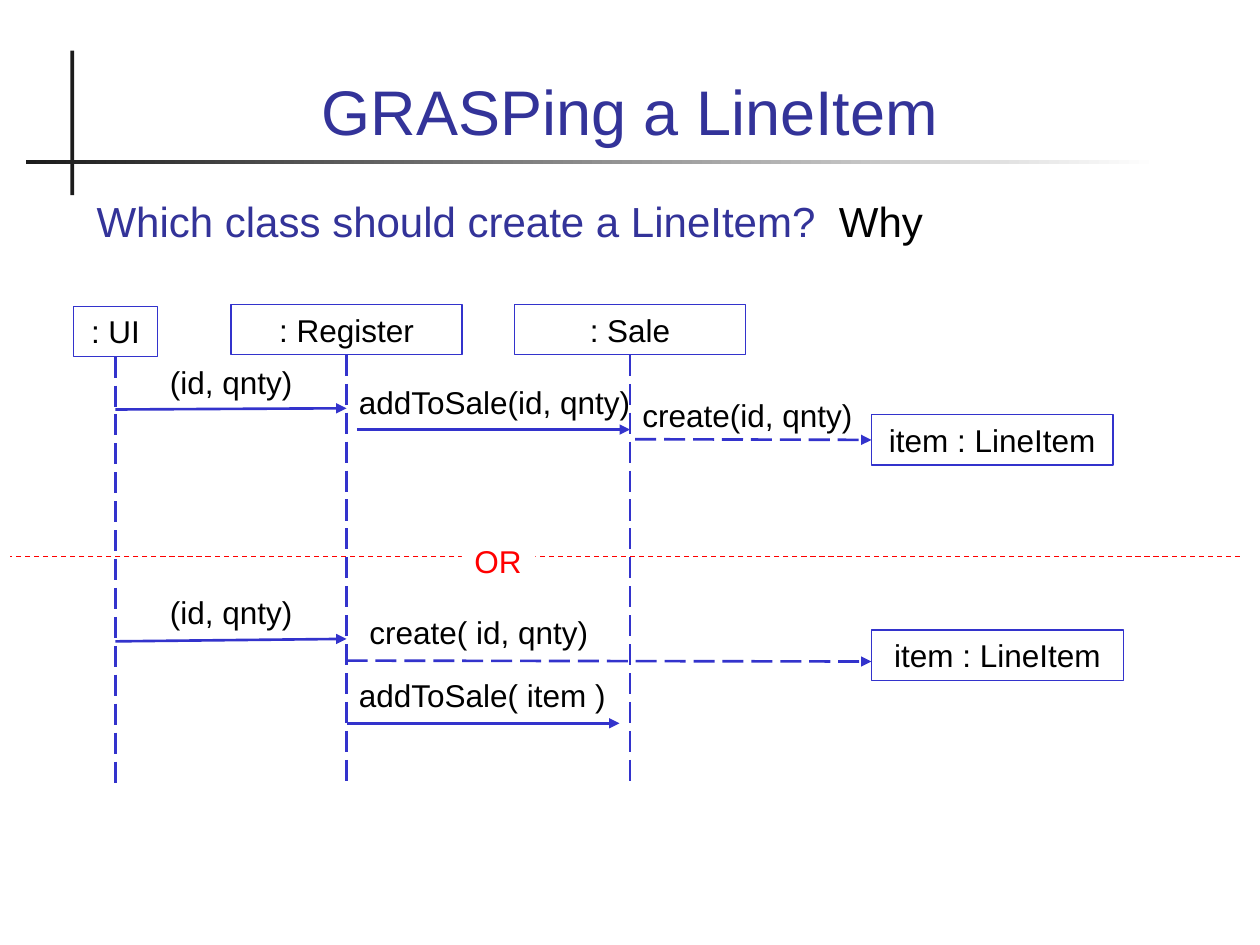
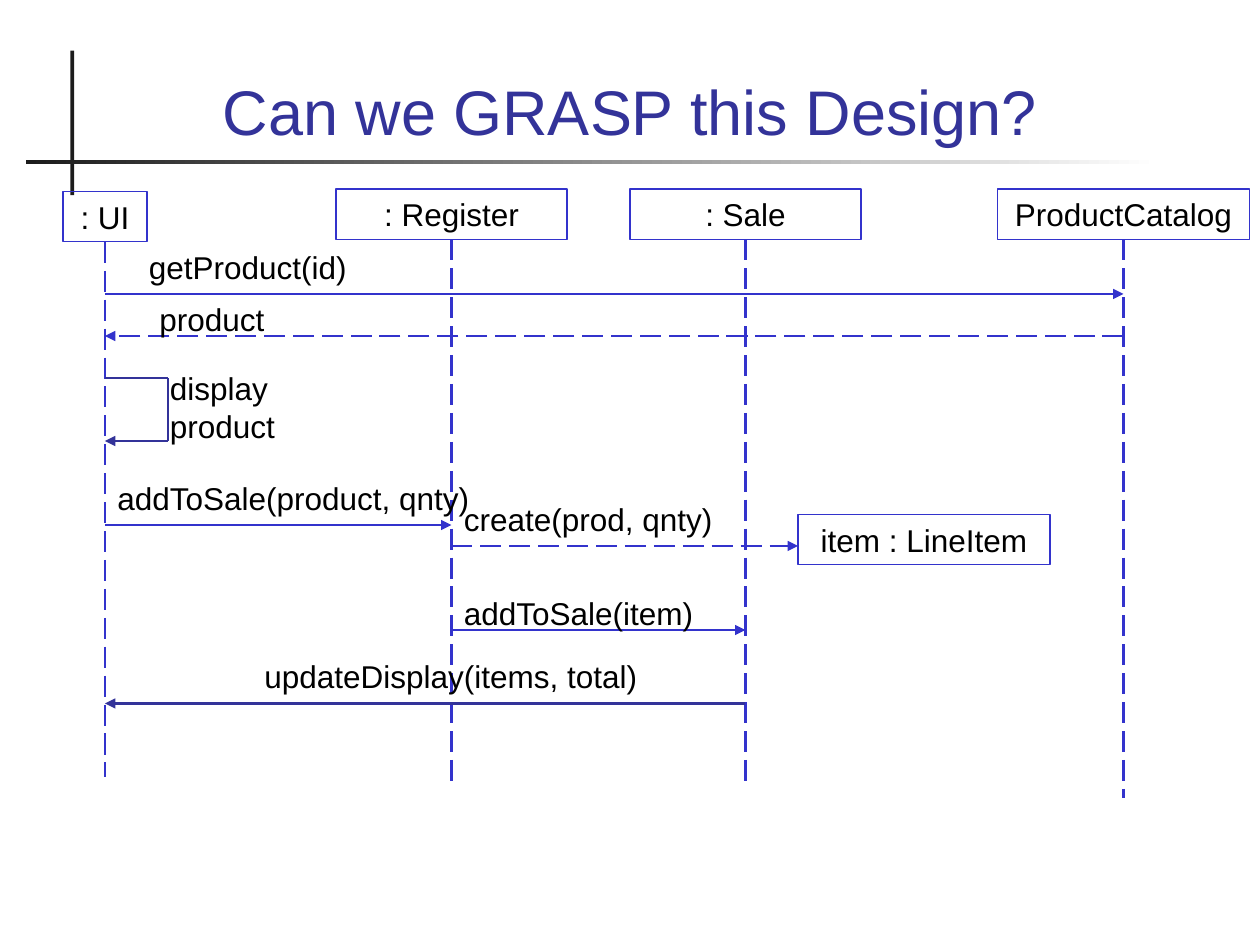
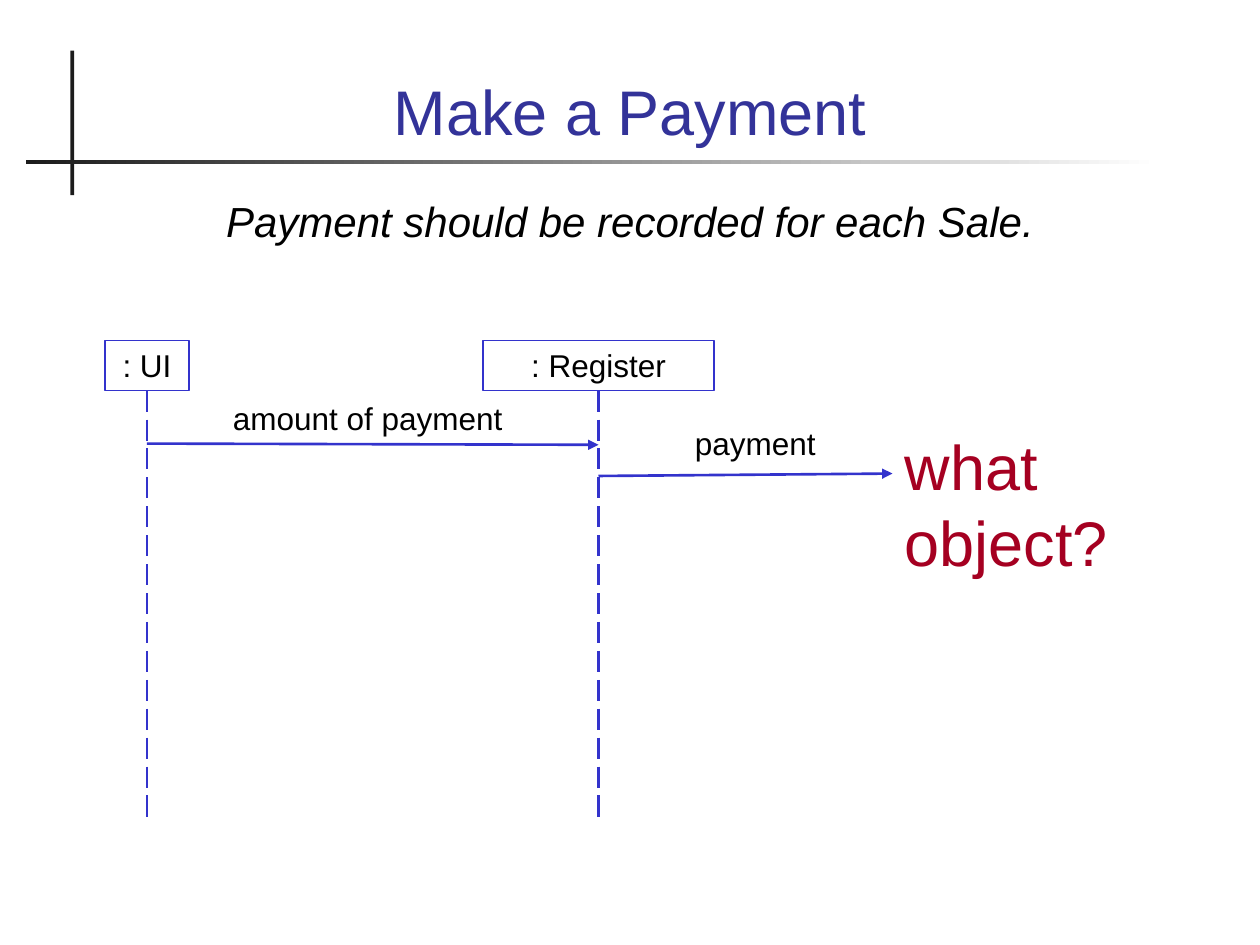
from dataclasses import dataclass

from lxml import etree
from pptx import Presentation
from pptx import util as u
from pptx.dml.color import RGBColor
from pptx.enum import dml, shapes, text
from pptx.oxml.ns import qn

Pt = u.Pt


@dataclass(frozen=True)
class Theme:
    font: str = "Arial"
    navy: RGBColor = RGBColor(0x33, 0x33, 0x99)
    blue: RGBColor = RGBColor(0x33, 0x33, 0xCC)
    red: RGBColor = RGBColor(0xFF, 0, 0)
    crimson: RGBColor = RGBColor(0xA5, 0, 0x21)
    ink: RGBColor = RGBColor(0x1C, 0x1C, 0x1C)
    black: RGBColor = RGBColor(0, 0, 0)
    white: RGBColor = RGBColor(0xFF, 0xFF, 0xFF)
    title_size: float = 36
    body_size: float = 24
    label_size: float = 18
    thin: float = 0.75
    thick: float = 1.5
    box_height: float = 28.8


T = Theme()
LONG_DASH = dml.MSO_LINE.LONG_DASH
CENTER = text.PP_ALIGN.CENTER
LEFT = text.PP_ALIGN.LEFT


@dataclass(frozen=True)
class Box:
    name: str
    left: float
    top: float
    width: float = 132


@dataclass(frozen=True)
class Participant:
    box: Box
    life_end: float


@dataclass(frozen=True)
class Message:
    """A labelled arrow; rise is how far its end lies below its start."""
    label: Box
    start: float
    end: float
    y: float
    rise: float = 0
    dashed: bool = False
    color: RGBColor = T.blue


def style_text(tf, size: float, color: RGBColor, align=LEFT, before: float = 0) -> None:
    tf.word_wrap = True
    tf.auto_size = text.MSO_AUTO_SIZE.NONE
    for p in tf.paragraphs:
        p.alignment = align
        p.space_before = Pt(before)
        for r in p.runs:
            r.font.name = T.font
            r.font.size = Pt(size)
            r.font.color.rgb = color


def place(sp, left: float, top: float, width: float, height: float) -> None:
    sp.left, sp.top, sp.width, sp.height = map(Pt, (left, top, width, height))


def add_rect(slide, left: float, top: float, width: float, height: float):
    """Add a rectangle without shadow, fill or outline."""
    sp = slide.shapes.add_shape(shapes.MSO_SHAPE.RECTANGLE,
                                *map(Pt, (left, top, width, height)))
    sp.shadow.inherit = False
    sp.fill.background()
    sp.line.fill.background()
    return sp


def add_box(slide, box: Box):
    sp = add_rect(slide, box.left, box.top, box.width, T.box_height)
    sp.line.color.rgb = T.blue
    sp.line.width = Pt(T.thin)
    tf = sp.text_frame
    tf.text = box.name
    tf.vertical_anchor = text.MSO_ANCHOR.TOP
    style_text(tf, T.label_size, T.black, CENTER)
    return sp


def add_label(slide, box: Box, size: float = T.label_size, color: RGBColor = T.black,
              height: float = T.box_height):
    sp = slide.shapes.add_textbox(*map(Pt, (box.left, box.top, box.width, height)))
    sp.text_frame.text = box.name
    style_text(sp.text_frame, size, color)
    return sp


def add_line(slide, x1: float, y1: float, x2: float, y2: float, color: RGBColor = T.blue,
             width: float = T.thick, dash=None, arrow: bool = False):
    c = slide.shapes.add_connector(shapes.MSO_CONNECTOR.STRAIGHT,
                                   *map(Pt, (x1, y1, x2, y2)))
    c.line.color.rgb = color
    c.line.width = Pt(width)
    if dash:
        c.line.dash_style = dash
    if arrow:
        etree.SubElement(c.line._get_or_add_ln(), qn("a:tailEnd"), type="triangle")
    etree.SubElement(c.element.spPr, qn("a:effectLst"))
    return c


def add_participant(slide, part: Participant) -> None:
    """Draw the object's box and the lifeline hanging from it."""
    box = part.box
    sp = add_box(slide, box)
    x = box.left + box.width / 2
    line = add_line(slide, x, box.top + T.box_height, x, part.life_end, dash=LONG_DASH)
    line.begin_connect(sp, 2)


def add_message(slide, m: Message):
    line = add_line(slide, m.start, m.y, m.end, m.y + m.rise, m.color,
                    dash=LONG_DASH if m.dashed else None, arrow=True)
    add_label(slide, m.label)
    return line


def add_sequence(slide, participants: list[Participant], messages: list[Message]) -> None:
    for part in participants:
        add_participant(slide, part)
    for m in messages:
        add_message(slide, m)


def add_slide(prs, title: str, has_body: bool = False):
    slide = prs.slides.add_slide(prs.slide_layouts[1 if has_body else 5])
    sp = slide.shapes.title
    place(sp, 48, 20, 624, 68.5)
    sp.text_frame.text = title
    sp.text_frame.vertical_anchor = text.MSO_ANCHOR.BOTTOM
    style_text(sp.text_frame, T.title_size, T.navy, CENTER)
    return slide


def set_body(slide, words: str, height: float, color: RGBColor, align=LEFT):
    """Fill the body placeholder with one unbulleted line and return the paragraph."""
    sp = slide.placeholders[1]
    place(sp, 48, 108, 624, height)
    tf = sp.text_frame
    tf.text = words
    style_text(tf, T.body_size, color, align, before=6)
    p = tf.paragraphs[0]
    pPr = p._p.get_or_add_pPr()
    pPr.set("marL", "0")
    pPr.set("indent", "0")
    etree.SubElement(pPr, qn("a:buNone"))
    return p


def add_master_bars(prs, slide) -> None:
    """Draw the crossing title bars and move them to the back of the master."""
    upright = add_rect(slide, 40.2, 29, 2.2, 82.5)
    upright.fill.solid()
    upright.fill.fore_color.rgb = T.ink
    level = add_rect(slide, 15, 91.3, 647, 2.2)
    level.fill.gradient()
    level.fill.gradient_angle = 0
    for stop, color in zip(level.fill.gradient_stops, (T.ink, T.white)):
        stop.color.rgb = color
    tree = prs.slide_master.shapes.element
    for i, bar in enumerate((upright, level)):
        bar.element.nvSpPr.cNvPr.id = 101 + i
        tree.insert(2 + i, bar.element)


def build_line_item(prs) -> None:
    slide = add_slide(prs, "GRASPing a LineItem", has_body=True)
    add_master_bars(prs, slide)
    p = set_body(slide, "Which class should create a LineItem?", 48, T.navy)
    r = p.add_run()
    r.text = "  Why"
    r.font.name = T.font
    r.font.size = Pt(T.body_size)
    r.font.color.rgb = T.black

    ui, register, sale, item = 66, 198, 360, 498
    add_line(slide, 708.5, 318.2, 5.8, 318.2, T.red, T.thin, dml.MSO_LINE.DASH)
    add_sequence(slide, [
        Participant(Box(": Register", 132, 174), 449),
        Participant(Box(": Sale", 294, 174), 449),
        Participant(Box(": UI", 42, 175, 48), 450),
    ], [
        Message(Box("(id, qnty)", 90, 204, 96), ui, register, 234, -0.7),
        Message(Box("addToSale(id, qnty)", register, 215.3, 174), 204, sale, 245.5),
        Message(Box("(id, qnty)", 90, 335.5, 96), ui, register, 366.5, -1.4),
        Message(Box("create( id, qnty)", 204, 347, 150), register, item, 377.5, 0.5,
                dashed=True),
        Message(Box("addToSale( item )", register, 383, 174), register, 354, 413.3),
    ])
    first_item = add_box(slide, Box("item : LineItem", item, 237, 138))
    add_box(slide, Box("item : LineItem", item, 360, 144))
    create = add_message(slide, Message(Box("create(id, qnty)", sale, 223, 150),
                                        363, item, 251, dashed=True))
    create.end_connect(first_item, 1)
    choice = add_label(slide, Box("OR", 264, 306, 42), color=T.red)
    choice.fill.solid()
    choice.fill.fore_color.rgb = T.white


def build_design(prs) -> None:
    slide = add_slide(prs, "Can we GRASP this Design?")
    ui, register, sale, catalog, item = 60, 258, 426, 642, 456
    add_sequence(slide, [
        Participant(Box(": Register", 192, 108), 450),
        Participant(Box(": Sale", 360, 108), 450),
        Participant(Box("ProductCatalog", 570, 108, 144), 456),
        Participant(Box(": UI", 36, 109.4, 48), 444),
    ], [
        Message(Box("getProduct(id)", 78, 138), ui, catalog, 168),
        Message(Box("product", 84, 168, 78), catalog, ui, 192, dashed=True),
        Message(Box("addToSale(product, qnty)", ui, 270, 221), ui, register, 300),
        Message(Box("create(prod, qnty)", register, 282, 162), register, item, 312,
                dashed=True),
        Message(Box("addToSale(item)", register, 336, 150), register, sale, 360),
        Message(Box("updateDisplay(items, total)", 144, 372, 258), sale, ui, 402,
                color=T.navy),
    ])
    add_box(slide, Box("item : LineItem", item, 294, 144))

    self_call = [(ui, 216), (96, 216), (96, 252), (ui, 252)]
    for a, b in zip(self_call, self_call[1:]):
        add_line(slide, *a, *b, T.navy, arrow=b == self_call[-1])
    add_label(slide, Box("display product", 90, 207.5, 78), height=50.4)


def build_payment(prs) -> None:
    slide = add_slide(prs, "Make a Payment", has_body=True)
    p = set_body(slide, "Payment should be recorded for each Sale.", 60, T.black, CENTER)
    p.runs[0].font.italic = True
    ui, register, unknown = 84, 342, 510
    add_sequence(slide, [
        Participant(Box(": Register", 276, 194.4), 469.5),
        Participant(Box(": UI", 60, 194.4, 48), 469.5),
    ], [
        Message(Box("amount of payment", 126, 224.6, 174), ui, register, 253.5, 0.7),
        Message(Box("payment", 390, 239, 96), register, unknown, 272, -1.4),
    ])
    add_label(slide, Box("what object?", unknown, 241, 138), T.title_size, T.crimson, 93.6)


def main() -> None:
    prs = Presentation()
    prs.slide_width, prs.slide_height = Pt(720), Pt(540)
    build_line_item(prs)
    build_design(prs)
    build_payment(prs)
    prs.save("out.pptx")


if __name__ == "__main__":
    main()
